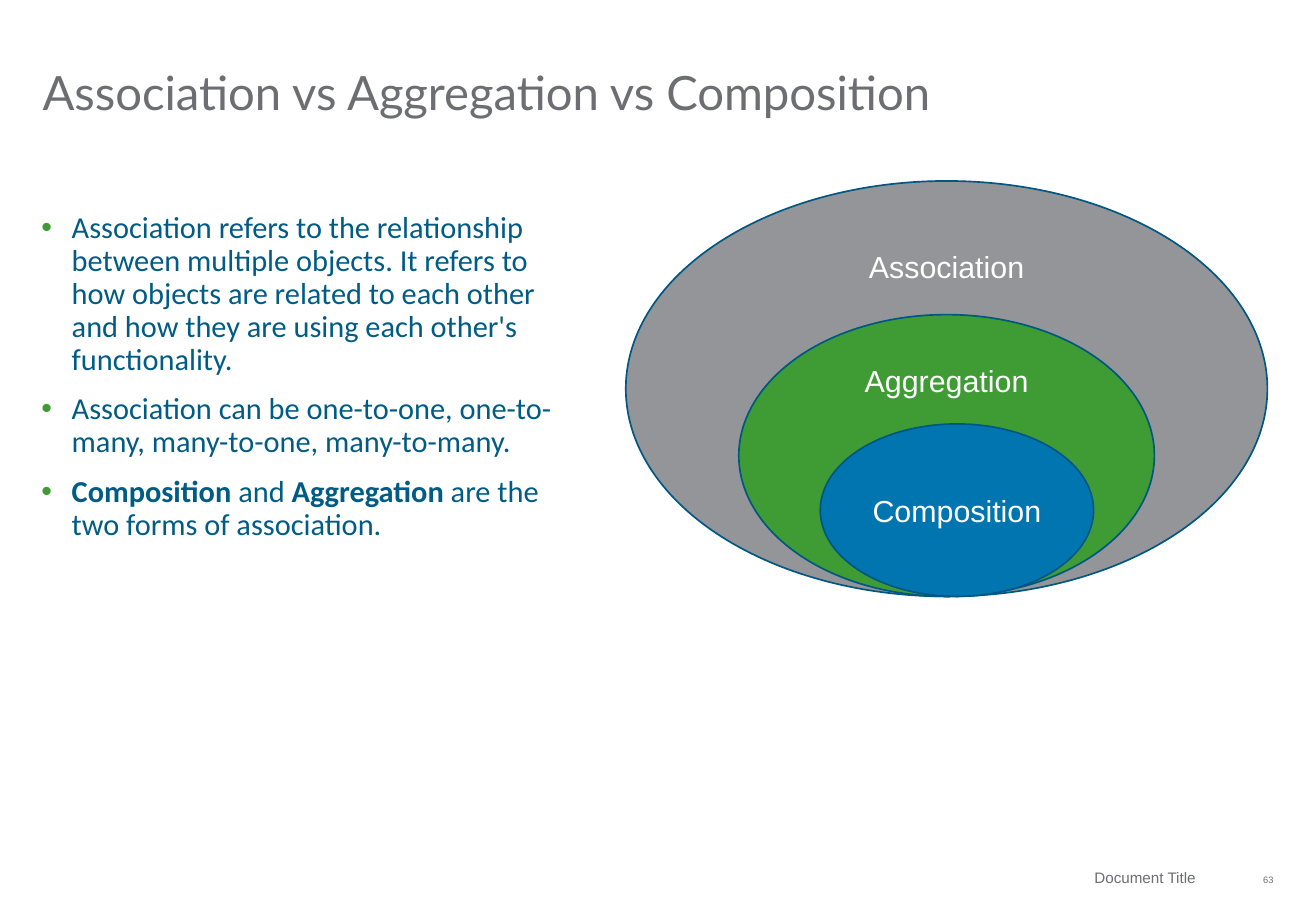
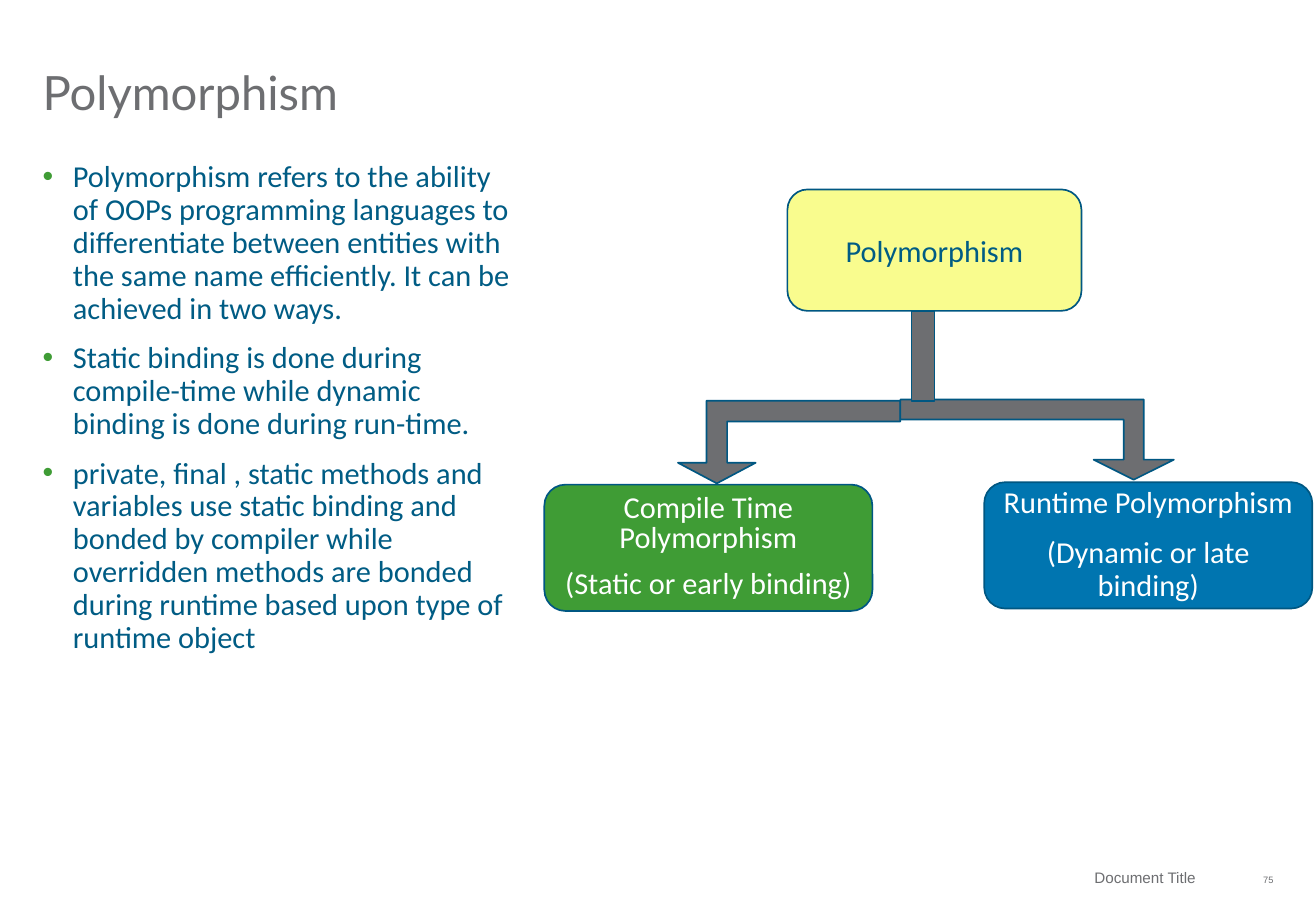
from lxml import etree
from pptx import Presentation
from pptx.dml.color import RGBColor
from pptx.enum.shapes import MSO_SHAPE
from pptx.enum.text import MSO_ANCHOR, MSO_AUTO_SIZE, PP_ALIGN
from pptx.oxml.ns import qn
from pptx.util import Pt

ELLIPSE, ROUNDED = MSO_SHAPE.OVAL, MSO_SHAPE.ROUNDED_RECTANGLE
BAR, BENT_ARROW = MSO_SHAPE.RECTANGLE, MSO_SHAPE.BENT_UP_ARROW
TOP, MIDDLE, BOTTOM = MSO_ANCHOR.TOP, MSO_ANCHOR.MIDDLE, MSO_ANCHOR.BOTTOM
LEFT, CENTER, RIGHT = PP_ALIGN.LEFT, PP_ALIGN.CENTER, PP_ALIGN.RIGHT
NO_FIT = MSO_AUTO_SIZE.NONE

WHITE = RGBColor(0xFF, 0xFF, 0xFF)
GRAY = RGBColor(0x6D, 0x6E, 0x71)
LIGHT_GRAY = RGBColor(0x93, 0x95, 0x98)
GREEN = RGBColor(0x3F, 0x9C, 0x35)
BLUE = RGBColor(0x00, 0x75, 0xB0)
YELLOW = RGBColor(0xF9, 0xFC, 0x8E)
NAVY = RGBColor(0x00, 0x5C, 0x84)
OUTLINE = RGBColor(0x00, 0x57, 0x82)

EMU_PER_PX = 9144
HANGING = 25


def px(length):
    """Turn px, a hundredth of an inch each, into EMU."""
    return length * EMU_PER_PX


class Deck:
    """Shared style, the presentation and its current slide."""

    def __init__(self):
        """Start a presentation of the right size."""
        self.presentation = Presentation()
        self.presentation.slide_width = px(1083)
        self.presentation.slide_height = px(750)
        self.slide = None

    def place(self, shape, box):
        """Move a shape to left, top, width, height."""
        shape.left, shape.top, shape.width, shape.height = map(px, box)

    def bullet(self, paragraph):
        """Give a paragraph a green hanging bullet."""
        properties = paragraph._p.get_or_add_pPr()
        properties.set("marL", str(px(HANGING)))
        properties.set("indent", str(-px(HANGING)))
        color = etree.SubElement(properties, qn("a:buClr"))
        etree.SubElement(color, qn("a:srgbClr")).set("val", str(GREEN))
        etree.SubElement(properties, qn("a:buFont")).set("typeface", "Arial")
        etree.SubElement(properties, qn("a:buChar")).set("char", "•")

    def fill_text(self, shape, paragraphs, font, size, color, align=LEFT, anchor=TOP,
                  inset=(0, 0, 0, 0), spacing=1.0, before=0, bulleted=False):
        """Fill a shape with paragraphs, with ** around bold words."""
        frame = shape.text_frame
        frame.word_wrap = True
        frame.auto_size = NO_FIT
        frame.vertical_anchor = anchor
        (frame.margin_left, frame.margin_top,
         frame.margin_right, frame.margin_bottom) = map(px, inset)
        for number, text in enumerate(paragraphs):
            paragraph = frame.add_paragraph() if number else frame.paragraphs[0]
            paragraph.alignment = align
            paragraph.line_spacing = spacing
            paragraph.space_before = Pt(before)
            if bulleted:
                self.bullet(paragraph)
            paragraph.font.name = font
            paragraph.font.size = Pt(size)
            paragraph.font.color.rgb = color
            for part, words in enumerate(text.split("**")):
                if words:
                    run = paragraph.add_run()
                    run.text = words
                    if part % 2:
                        run.font.bold = True

    def new_slide(self, title, page):
        """Add a slide with its title and footer."""
        layout = self.presentation.slide_layouts[1]
        self.slide = self.presentation.slides.add_slide(layout)
        heading = self.slide.shapes.title
        self.place(heading, (35, 22, 1013, 77))
        self.fill_text(heading, [title], "Lato", 28, GRAY, anchor=BOTTOM, spacing=0.9)
        self.footer("Document Title", (619, 708, 380, 28), 9, (0, 0, 15, 0))
        self.footer(page, (1009, 708, 39, 33), 5.5, (0, 0, 0, 0))

    def footer(self, text, box, size, inset):
        """Add one right-aligned footer text."""
        note = self.slide.shapes.add_textbox(*map(px, box))
        self.fill_text(note, [text], "Arial", size, GRAY, RIGHT, MIDDLE, inset)

    def bullets(self, box, items):
        """Fill the body placeholder with a bulleted list."""
        body = self.slide.placeholders[1]
        self.place(body, box)
        self.fill_text(body, items, "Calibri", 18, NAVY, spacing=0.9, before=10,
                       bulleted=True)

    def shape(self, kind, box, fill):
        """Add a filled and outlined preset shape."""
        shape = self.slide.shapes.add_shape(kind, *map(px, box))
        shape.shadow.inherit = False
        shape.fill.solid()
        shape.fill.fore_color.rgb = fill
        shape.line.color.rgb = OUTLINE
        shape.line.width = Pt(1)
        return shape

    def label(self, kind, box, fill, paragraphs, font="Calibri", color=WHITE,
              anchor=MIDDLE, inset=(10, 5, 10, 5), spacing=1.0, before=0):
        """Add a shape with centred text."""
        self.fill_text(self.shape(kind, box, fill), paragraphs, font, 18, color,
                       CENTER, anchor, inset, spacing, before)

    def down_arrow(self, box, head, to_left=False):
        """Add a bent arrow that ends pointing down."""
        arrow = self.shape(BENT_ARROW, box, GRAY)
        arrow.adjustments[1] = head
        frame = arrow.element.spPr.find(qn("a:xfrm"))
        frame.set("flipV", "1")
        if to_left:
            frame.set("flipH", "1")


def association_slide(deck):
    """Build the slide on the nested relationships."""
    deck.new_slide("Association vs Aggregation vs Composition", "63")
    deck.bullets((34, 175, 431, 450), [
        "Association refers to the relationship between multiple objects. It refers "
        "to how objects are related to each other and how they are using each "
        "other's functionality.",
        "Association can be one-to-one, one-to-many, many-to-one, many-to-many.",
        "**Composition** and **Aggregation** are the two forms of association.",
    ])
    base = 491
    for name, left, width, height, fill, anchor in (
        ("Association", 515, 528, 342, LIGHT_GRAY, TOP),
        ("Aggregation", 608, 342, 232, GREEN, TOP),
        ("Composition", 675, 225, 142, BLUE, MIDDLE),
    ):
        deck.label(ELLIPSE, (left, base - height, width, height), fill, [name],
                   font="Arial", anchor=anchor)


def polymorphism_slide(deck):
    """Build the slide on the two kinds of polymorphism."""
    deck.new_slide("Polymorphism", "75")
    deck.bullets((35, 133, 390, 416), [
        "Polymorphism refers to the ability of OOPs programming languages to "
        "differentiate between entities with the same name efficiently. It can be "
        "achieved in two ways.",
        "Static binding is done during compile-time while dynamic binding is done "
        "during run-time.",
        "private, final , static methods and variables use static binding and "
        "bonded by compiler while overridden methods are bonded during runtime "
        "based upon type of runtime object",
    ])
    deck.label(ROUNDED, (648, 156, 242, 100), YELLOW, ["Polymorphism"], color=NAVY)
    deck.label(ROUNDED, (448, 399, 270, 104), GREEN,
               ["Compile Time Polymorphism", "(Static or early binding)"],
               inset=(0, 0, 0, 0), spacing=0.8, before=10)
    deck.label(ROUNDED, (810, 397, 270, 104), BLUE,
               ["Runtime Polymorphism", "(Dynamic or late binding)"],
               spacing=0.9, before=10)
    deck.down_arrow((558, 330, 183, 68), 0.47, to_left=True)
    deck.down_arrow((741, 329, 225, 66), 0.5)
    deck.shape(BAR, (750, 256, 19, 74), GRAY)


def main():
    """Build and save both slides."""
    deck = Deck()
    association_slide(deck)
    polymorphism_slide(deck)
    deck.presentation.save("out.pptx")


if __name__ == "__main__":
    main()
